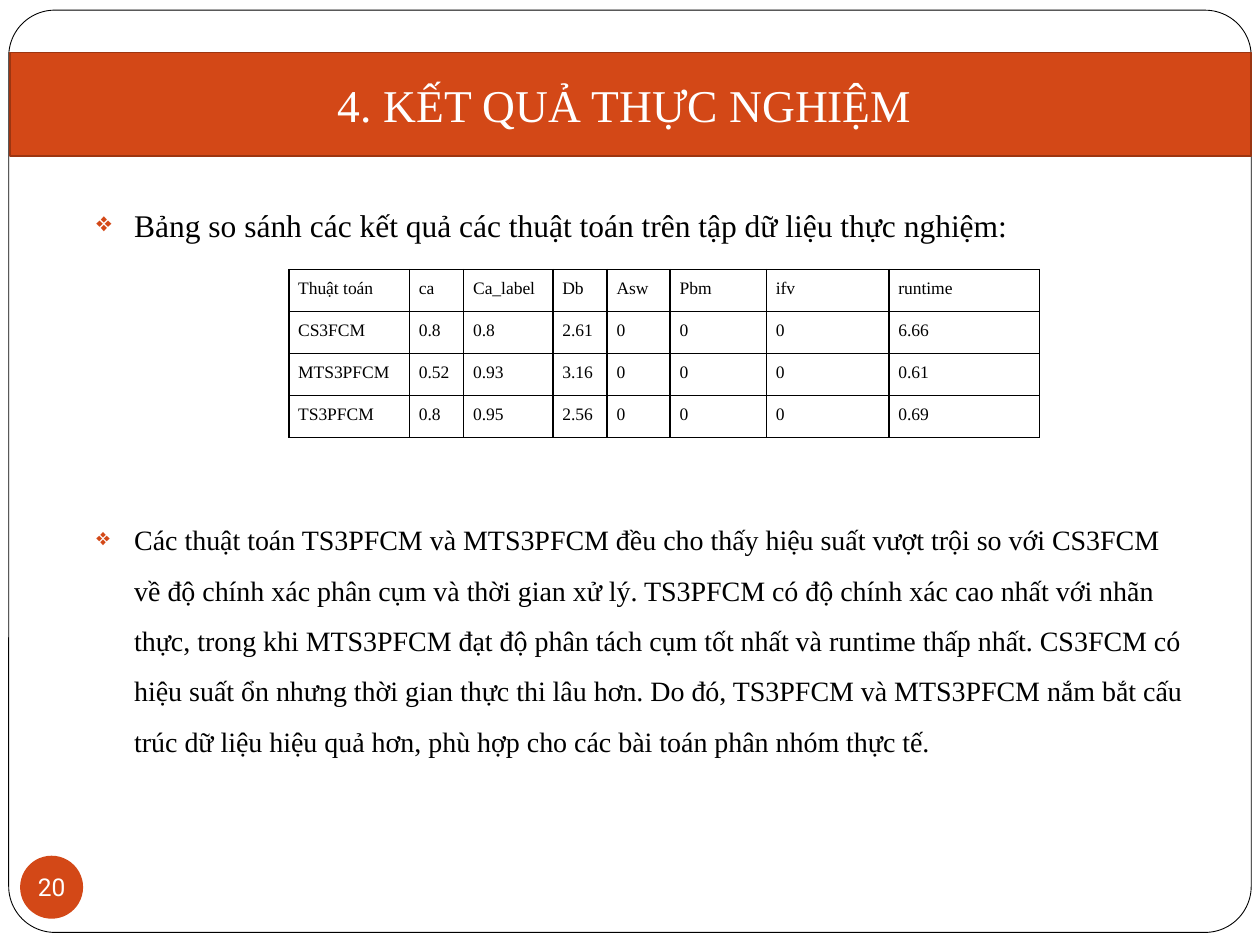
from dataclasses import dataclass

from lxml import etree
from pptx import Presentation
from pptx.dml.color import RGBColor
from pptx.enum import shapes, text
from pptx.oxml import ns
from pptx.util import Pt


@dataclass(frozen=True)
class Theme:
    accent: str = "D34817"
    accent_edge: str = "9C3511"
    ink: str = "000000"
    paper: str = "FFFFFF"
    serif: str = "Times New Roman"
    sans: str = "Roboto"
    title: float = 26
    lead: float = 18
    body: float = 16
    number: float = 14
    cell: float = 10


THEME = Theme()

RESULTS = [
    ["Thuật toán", "ca", "Ca_label", "Db", "Asw", "Pbm", "ifv", "runtime"],
    ["CS3FCM", "0.8", "0.8", "2.61", "0", "0", "0", "6.66"],
    ["MTS3PFCM", "0.52", "0.93", "3.16", "0", "0", "0", "0.61"],
    ["TS3PFCM", "0.8", "0.95", "2.56", "0", "0", "0", "0.69"],
]
COLUMN_WIDTHS = [69, 31, 51, 31, 36, 55, 70, 86]
ROW_HEIGHT = 24

LEAD = "Bảng so sánh các kết quả các thuật toán trên tập dữ liệu thực nghiệm:"
CONCLUSION = (
    "Các thuật toán TS3PFCM và MTS3PFCM đều cho thấy hiệu suất vượt trội so với "
    "CS3FCM về độ chính xác phân cụm và thời gian xử lý. TS3PFCM có độ chính xác "
    "cao nhất với nhãn thực, trong khi MTS3PFCM đạt độ phân tách cụm tốt nhất và "
    "runtime thấp nhất. CS3FCM có hiệu suất ổn nhưng thời gian thực thi lâu hơn. "
    "Do đó, TS3PFCM và MTS3PFCM nắm bắt cấu trúc dữ liệu hiệu quả hơn, phù hợp "
    "cho các bài toán phân nhóm thực tế."
)


def add_child(parent, tag, **attributes):
    return etree.SubElement(parent, ns.qn(tag), attributes)


def write(paragraph, words, *, size, color=THEME.ink, font=THEME.serif,
          align=None, before=0, after=0, spacing=None):
    paragraph.alignment = align
    paragraph.line_spacing = spacing
    paragraph.space_before = Pt(before)
    paragraph.space_after = Pt(after)
    run = paragraph.add_run()
    run.text = words
    run.font.size = Pt(size)
    run.font.name = font
    run.font.color.rgb = RGBColor.from_string(color)


def add_bullet(paragraph, indent=21.6):
    """Give a paragraph a hanging diamond; its spacing must be set first."""
    props = paragraph._p.get_or_add_pPr()
    props.set("marL", str(Pt(indent)))
    props.set("indent", str(Pt(-indent)))
    add_child(add_child(props, "a:buClr"), "a:srgbClr", val=THEME.accent)
    add_child(props, "a:buSzPct", val="85000")
    add_child(props, "a:buChar", char="❖")


def add_panel(slide, kind, box, fill, edge=None, edge_width=1):
    panel = slide.shapes.add_shape(kind, *map(Pt, box))
    panel.shadow.inherit = False
    panel.fill.solid()
    panel.fill.fore_color.rgb = RGBColor.from_string(fill)
    if edge:
        panel.line.color.rgb = RGBColor.from_string(edge)
        panel.line.width = Pt(edge_width)
    else:
        panel.line.fill.background()
    panel.text_frame.vertical_anchor = text.MSO_ANCHOR.MIDDLE
    return panel


def add_frame(slide):
    frame = add_panel(slide, shapes.MSO_SHAPE.ROUNDED_RECTANGLE,
                      (5, 5.8, 710, 527), THEME.paper, THEME.ink, 0.5)
    frame.adjustments[0] = 0.05


def add_title(slide, words):
    band = add_panel(slide, shapes.MSO_SHAPE.RECTANGLE, (5.8, 30, 709.2, 59),
                     THEME.accent, THEME.accent_edge)
    write(band.text_frame.paragraphs[0], words, size=THEME.title,
          color=THEME.paper, align=text.PP_ALIGN.CENTER)


def add_page_number(slide, number):
    badge = add_panel(slide, shapes.MSO_SHAPE.OVAL, (11.5, 489, 36, 36), THEME.accent)
    frame = badge.text_frame
    frame.word_wrap = False
    frame.margin_left = frame.margin_right = frame.margin_top = frame.margin_bottom = 0
    write(frame.paragraphs[0], number, size=THEME.number, color=THEME.paper,
          font=THEME.sans, align=text.PP_ALIGN.CENTER)


def add_body(slide):
    frame = slide.shapes.add_textbox(*map(Pt, (48, 114, 636, 360))).text_frame
    frame.word_wrap = True
    lead, conclusion = frame.paragraphs[0], frame.add_paragraph()
    write(lead, LEAD, size=THEME.lead, before=5.8)
    # The space before the conclusion leaves room for the table.
    write(conclusion, CONCLUSION, size=THEME.body, before=150, spacing=1.5)
    for paragraph in (lead, conclusion):
        add_bullet(paragraph)


def add_borders(cell):
    props = cell._tc.get_or_add_tcPr()
    for position, side in enumerate(("a:lnL", "a:lnR", "a:lnT", "a:lnB")):
        line = etree.Element(ns.qn(side), w=str(Pt(1)))
        add_child(add_child(line, "a:solidFill"), "a:srgbClr", val=THEME.ink)
        props.insert(position, line)


def add_results(slide, left, top):
    table = slide.shapes.add_table(
        len(RESULTS), len(COLUMN_WIDTHS), Pt(left), Pt(top),
        Pt(sum(COLUMN_WIDTHS)), Pt(ROW_HEIGHT * len(RESULTS))).table
    table.first_row = table.horz_banding = False
    for column, width in zip(table.columns, COLUMN_WIDTHS):
        column.width = Pt(width)
    for row, values in zip(table.rows, RESULTS):
        row.height = Pt(ROW_HEIGHT)
        for cell, value in zip(row.cells, values):
            cell.fill.background()
            cell.margin_left = cell.margin_right = Pt(5.4)
            cell.margin_top = cell.margin_bottom = 0
            write(cell.text_frame.paragraphs[0], value, size=THEME.cell,
                  align=text.PP_ALIGN.JUSTIFY, before=2, after=2, spacing=1.5)
            add_borders(cell)


def main():
    deck = Presentation()
    deck.slide_width, deck.slide_height = Pt(720), Pt(540)
    slide = deck.slides.add_slide(deck.slide_layouts[6])
    add_frame(slide)
    add_title(slide, "4. KẾT QUẢ THỰC NGHIỆM ")
    add_body(slide)
    add_page_number(slide, "20")
    add_results(slide, left=165, top=154)
    deck.save("out.pptx")


if __name__ == "__main__":
    main()
